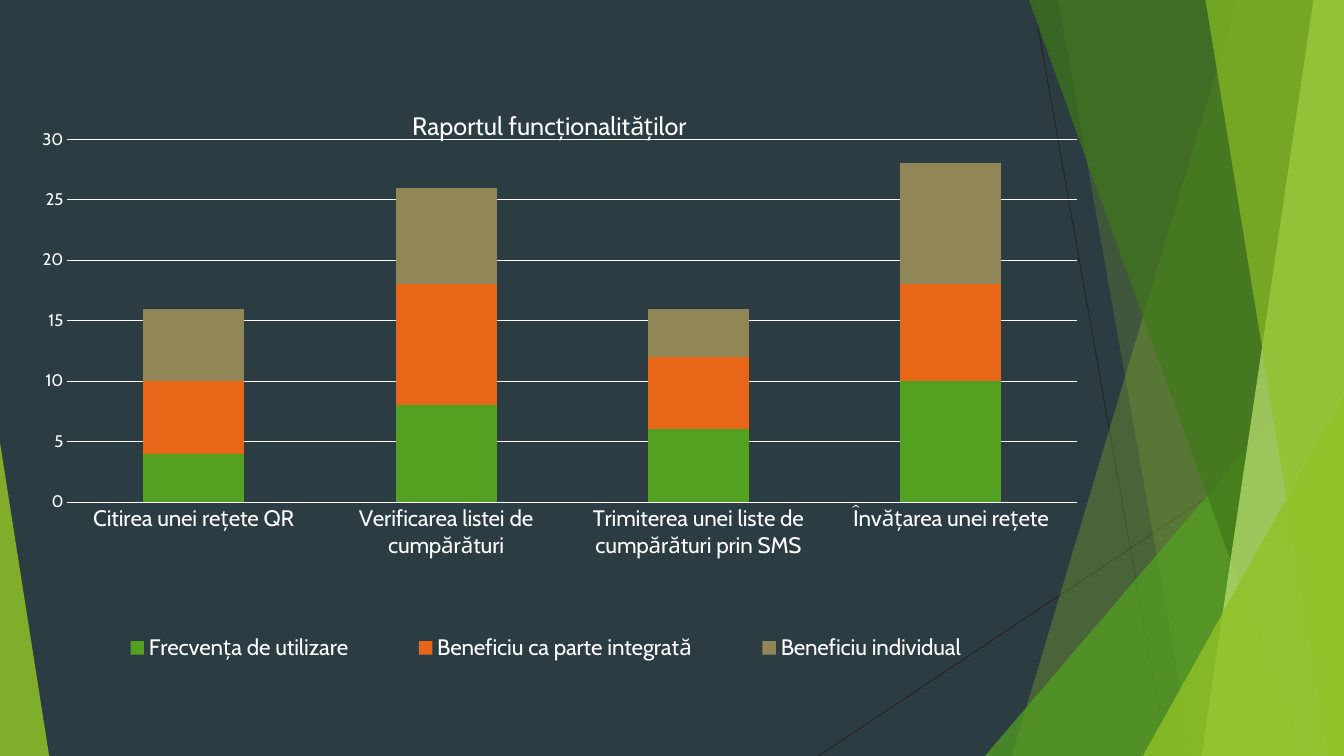
from dataclasses import dataclass

import pptx
import pptx.chart.data
import pptx.dml.color
import pptx.enum.chart
import pptx.enum.shapes
import pptx.oxml.xmlchemy
import pptx.util

TITLE = "Raportul funcționalităților"
CATEGORIES = [
    "Citirea unei rețete QR",
    "Verificarea listei de cumpărături",
    "Trimiterea unei liste de cumpărături prin SMS",
    "Învățarea unei rețete",
]
SERIES = [
    ("Frecvența de utilizare", (4, 8, 6, 10), "54A021"),
    ("Beneficiu ca parte integrată", (6, 10, 6, 8), "E76618"),
    ("Beneficiu individual", (6, 8, 4, 10), "918655"),
]


@dataclass(frozen=True)
class Theme:
    font: str = "Cabin"
    background: str = "2C3C43"
    text: str = "FFFFFF"
    thin_line: str = "262626"
    lime: str = "90C226"
    green: str = "54A021"
    dark_green: str = "3F7819"
    pale_lime: str = "C0E474"
    title_size: float = 18
    label_size: float = 16
    value_size: float = 12
    line_width: float = 0.75


THEME = Theme()
WIDTH, HEIGHT = 33.87, 19.05  # centimetres, as are all lengths below

LINES = [((26.04, 0), (29.41, HEIGHT)), ((WIDTH, 10.24), (20.62, HEIGHT))]
# Bands: top x, bottom x. Wedges: left, top, width, apex. Then colour, opacity %.
FACETS = [
    ("band", (31.19, 25.5), THEME.lime, 30),
    ("band", (26.67, 30.05), THEME.lime, 20),
    ("wedge", (24.82, 8.46, 9.05, 1), THEME.green, 72),
    ("band", (25.93, 32.79), THEME.dark_green, 70),
    ("band", (33.1, 30.28), THEME.pale_lime, 70),
    ("band", (30.38, 33.48), THEME.lime, 65),
    ("wedge", (28.8, 9.98, 5.07, 1), THEME.lime, 80),
    ("wedge", (0, 11.15, 1.24, 0), THEME.lime, 85),
]
CHART_BOX = (0.36, 2.01, 26.8, 14.99)


def rgb(value):
    return pptx.dml.color.RGBColor.from_string(value)


def lengths(*centimetres):
    return [pptx.util.Cm(value) for value in centimetres]


def new_element(tag):
    return pptx.oxml.xmlchemy.OxmlElement(tag)


def style_font(font, size):
    font.name, font.size, font.bold = THEME.font, pptx.util.Pt(size), False
    font.color.rgb = rgb(THEME.text)


def style_line(line, color):
    line.color.rgb = rgb(color)
    line.width = pptx.util.Pt(THEME.line_width)


def add_line(slide, start, end):
    line = slide.shapes.add_connector(
        pptx.enum.shapes.MSO_CONNECTOR.STRAIGHT, *lengths(*start, *end))
    style_line(line.line, THEME.thin_line)
    line.element.xpath("p:spPr")[0].append(new_element("a:effectLst"))


def add_band(slide, top_x, bottom_x):
    """Draw a full-height band from a slanted left side to the slide's right edge."""
    corners = [(WIDTH, 0), (WIDTH, HEIGHT), (bottom_x, HEIGHT)]
    builder = slide.shapes.build_freeform(*lengths(top_x, 0), scale=1.0)
    builder.add_line_segments([lengths(*corner) for corner in corners], close=True)
    return builder.convert_to_shape()


def add_wedge(slide, left, top, width, apex):
    wedge = slide.shapes.add_shape(
        pptx.enum.shapes.MSO_SHAPE.ISOSCELES_TRIANGLE,
        *lengths(left, top, width, HEIGHT - top))
    wedge.adjustments[0] = apex
    return wedge


def paint_facet(shape, color, opacity):
    shape.shadow.inherit = False
    shape.line.fill.background()
    shape.fill.solid()
    shape.fill.fore_color.rgb = rgb(color)
    alpha = new_element("a:alpha")
    alpha.set("val", str(opacity * 1000))
    shape.element.xpath("p:spPr/a:solidFill/a:srgbClr")[0].append(alpha)


def place_part(part, index, inner=False, **fractions):
    """Fix a chart part's place, in fractions of the chart's size."""
    for old in part.xpath("c:layout"):
        part.remove(old)
    layout = new_element("c:layout")
    manual = new_element("c:manualLayout")
    layout.append(manual)
    settings = {"layoutTarget": "inner"} if inner else {}
    settings |= {"xMode": "edge", "yMode": "edge"} | fractions
    for name, value in settings.items():
        setting = new_element("c:" + name)
        setting.set("val", str(value))
        manual.append(setting)
    part.insert(index, layout)


def add_feature_chart(slide):
    data = pptx.chart.data.CategoryChartData()
    data.categories = CATEGORIES
    for name, values, _ in SERIES:
        data.add_series(name, values)
    chart = slide.shapes.add_chart(
        pptx.enum.chart.XL_CHART_TYPE.COLUMN_STACKED,
        *lengths(*CHART_BOX), data).chart
    style_font(chart.font, THEME.value_size)

    plot = chart.plots[0]
    plot.gap_width, plot.overlap, plot.vary_by_categories = 150, 100, False
    for series, (_, _, color) in zip(plot.series, SERIES):
        series.format.fill.solid()
        series.format.fill.fore_color.rgb = rgb(color)

    axes = [(chart.category_axis, THEME.label_size), (chart.value_axis, THEME.value_size)]
    for axis, size in axes:
        axis.major_tick_mark = axis.minor_tick_mark = pptx.enum.chart.XL_TICK_MARK.NONE
        axis.format.line.fill.background()
        style_font(axis.tick_labels.font, size)
    values = chart.value_axis
    values.minimum_scale, values.maximum_scale, values.major_unit = 0, 30, 5
    values.has_major_gridlines = True
    style_line(values.major_gridlines.format.line, THEME.text)

    chart.has_title = True
    heading = chart.chart_title.text_frame
    heading.text = TITLE
    style_font(heading.paragraphs[0].font, THEME.title_size)
    chart.has_legend = True
    chart.legend.position = pptx.enum.chart.XL_LEGEND_POSITION.BOTTOM
    chart.legend.include_in_layout = False
    style_font(chart.legend.font, THEME.label_size)

    title, legend, area = (chart.element.xpath("c:chart/c:" + name)[0]
                           for name in ("title", "legend", "plotArea"))
    place_part(title, 1, x=0.37, y=0.04)
    place_part(legend, 1, x=0.05, y=0.91, w=0.9, h=0.09)
    place_part(area, 0, inner=True, x=0.05, y=0.1, w=0.95, h=0.61)


def main():
    deck = pptx.Presentation()
    deck.slide_width, deck.slide_height = lengths(WIDTH, HEIGHT)
    slide = deck.slides.add_slide(deck.slide_layouts[6])
    slide.background.fill.solid()
    slide.background.fill.fore_color.rgb = rgb(THEME.background)
    for start, end in LINES:
        add_line(slide, start, end)
    draw = {"band": add_band, "wedge": add_wedge}
    for kind, geometry, color, opacity in FACETS:
        paint_facet(draw[kind](slide, *geometry), color, opacity)
    add_feature_chart(slide)
    deck.save("out.pptx")


if __name__ == "__main__":
    main()
